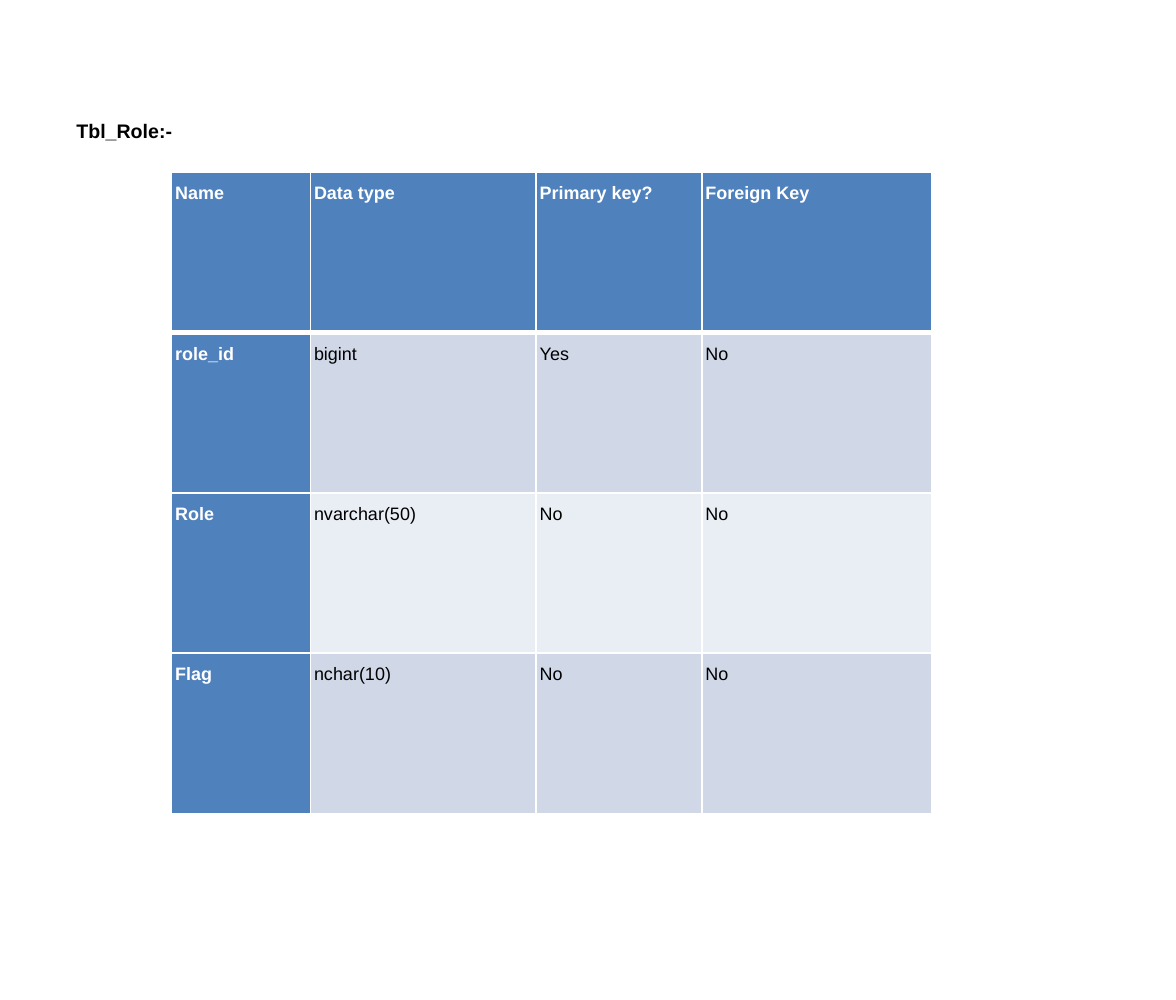
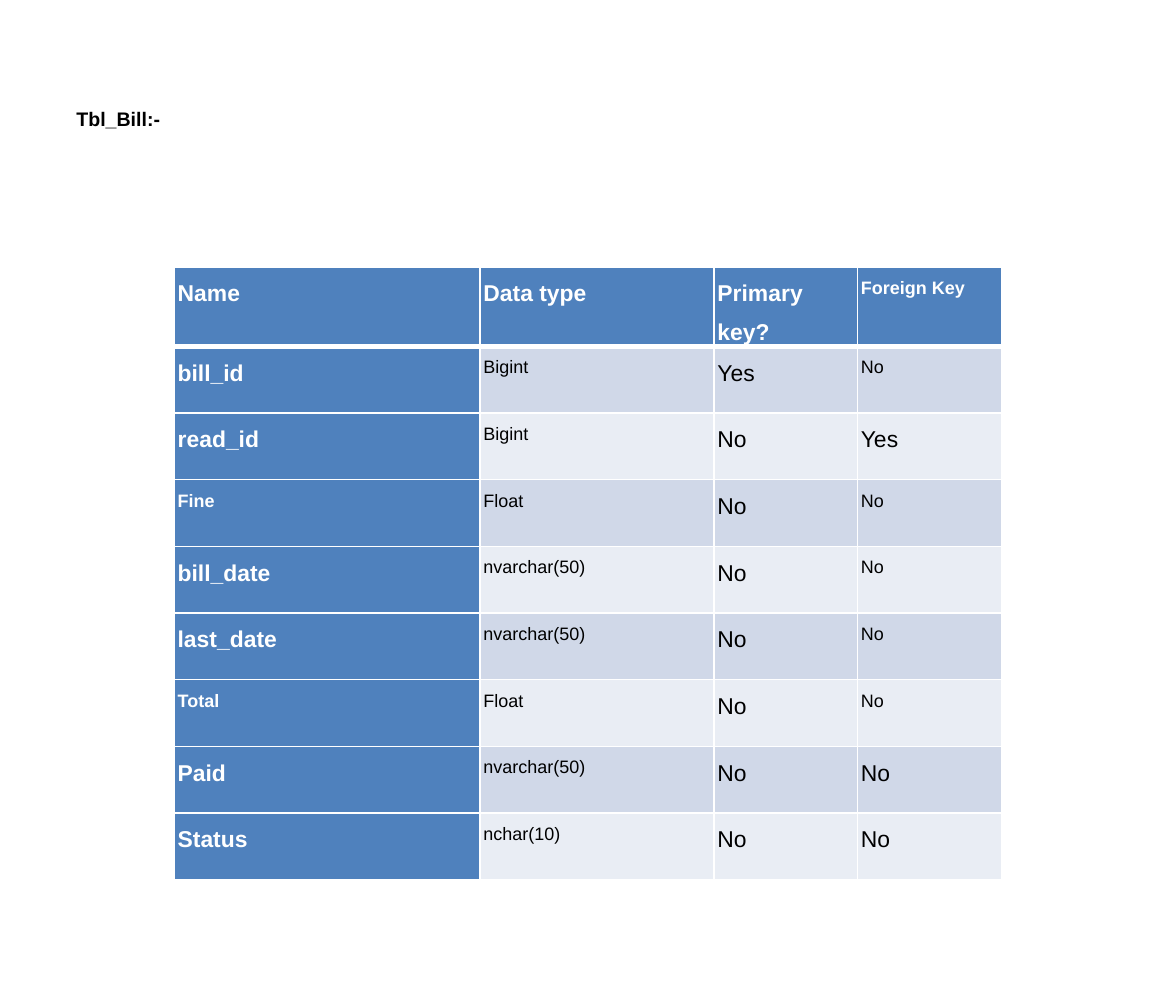
from lxml.etree import SubElement
from pptx import Presentation
from pptx.dml.color import RGBColor
from pptx.enum.text import MSO_ANCHOR as Anchor, MSO_AUTO_SIZE as Auto, PP_ALIGN as Align
from pptx.oxml.ns import qn
from pptx.util import Pt

FONT = "Arial"
BLACK, WHITE, BLUE = "000000", "FFFFFF", "4F81BD"
BANDS = ("D0D8E8", "E9EDF4")
SMALL, LARGE = 11, 14
HEAD = ("Name", "Data type", "Primary key?", "Foreign Key")
ALL = (0, 1, 2, 3)

ROLE = [
    (HEAD, ALL),
    (("role_id", "bigint", "Yes", "No"), ALL),
    (("Role", "nvarchar(50)", "No", "No"), ALL),
    (("Flag", "nchar(10)", "No", "No"), ALL),
]
BILL = [
    (HEAD, (3,)),
    (("bill_id", "Bigint", "Yes", "No"), (1, 3)),
    (("read_id", "Bigint", "No", "Yes"), (1,)),
    (("Fine", "Float", "No", "No"), (0, 1, 3)),
    (("bill_date", "nvarchar(50)", "No", "No"), (1, 3)),
    (("last_date", "nvarchar(50)", "No", "No"), (1, 3)),
    (("Total", "Float", "No", "No"), (0, 1, 3)),
    (("Paid", "nvarchar(50)", "No", "No"), (1,)),
    (("Status", "nchar(10)", "No", "No"), (1,)),
]


def color(code):
    return RGBColor.from_string(code)


def apply(item, values):
    for name, value in values.items():
        setattr(item, name, value)


def style(run, size, code, bold):
    apply(run.font, {"name": FONT, "size": Pt(size), "bold": bold})
    run.font.color.rgb = color(code)


def border(cell, row):
    props = cell._tc.get_or_add_tcPr()
    thick = {"lnT": row == 1, "lnB": row == 0}
    for side in ("lnL", "lnR", "lnT", "lnB"):
        width = Pt(3 if thick.get(side) else 1)
        line = SubElement(props, qn("a:" + side), w=str(width))
        fill = SubElement(line, qn("a:solidFill"))
        SubElement(fill, qn("a:srgbClr"), val=WHITE)


def add_title(slide, text, box):
    title = slide.shapes.title
    apply(title, dict(zip(("left", "top", "width", "height"), map(Pt, box))))
    frame = title.text_frame
    frame.text = text
    apply(frame, {"word_wrap": False, "auto_size": Auto.NONE,
                  "vertical_anchor": Anchor.TOP})
    para = frame.paragraphs[0]
    para.alignment = Align.LEFT
    style(para.runs[0], 12, BLACK, True)


def fill_cell(cell, text, size, row, col):
    key = row == 0 or col == 0
    apply(cell, {"margin_" + side: Pt(0.72)
                 for side in ("left", "right", "top", "bottom")})
    border(cell, row)
    cell.fill.solid()
    cell.fill.fore_color.rgb = color(BLUE if key else BANDS[(row - 1) % 2])
    cell.text = text
    para = cell.text_frame.paragraphs[0]
    para.line_spacing = 1.5
    para._p.get_or_add_pPr().set("marL", str(Pt(1.44)))
    style(para.runs[0], size, WHITE if key else BLACK, key)


def add_grid(slide, rows, box, widths):
    frame = slide.shapes.add_table(len(rows), len(widths), *map(Pt, box))
    grid = frame.table
    for col, width in zip(grid.columns, widths):
        col.width = Pt(width)
    for line in grid.rows:
        line.height = Pt(box[3] / len(rows))
    for row, (texts, small) in enumerate(rows):
        for col, text in enumerate(texts):
            size = SMALL if col in small else LARGE
            fill_cell(grid.cell(row, col), text, size, row, col)


def add_page(deck, name, head, rows, box, widths):
    slide = deck.slides.add_slide(deck.slide_layouts[5])
    add_title(slide, name, head)
    add_grid(slide, rows, box, widths)


def main():
    deck = Presentation()
    apply(deck, {"slide_width": Pt(720), "slide_height": Pt(612)})
    add_page(deck, "Tbl_Role:-", (39.6, 69.1, 74.2, 36), ROLE,
             (105.1, 105.5, 465.1, 392.4), (85, 138.2, 101.5, 140.4))
    add_page(deck, "Tbl_Bill:-", (39.6, 61.9, 66.2, 51.1), BILL,
             (106.6, 163.4, 506.9, 367.2), (187.2, 143.3, 87.8, 88.6))
    deck.save("out.pptx")


if __name__ == "__main__":
    main()
